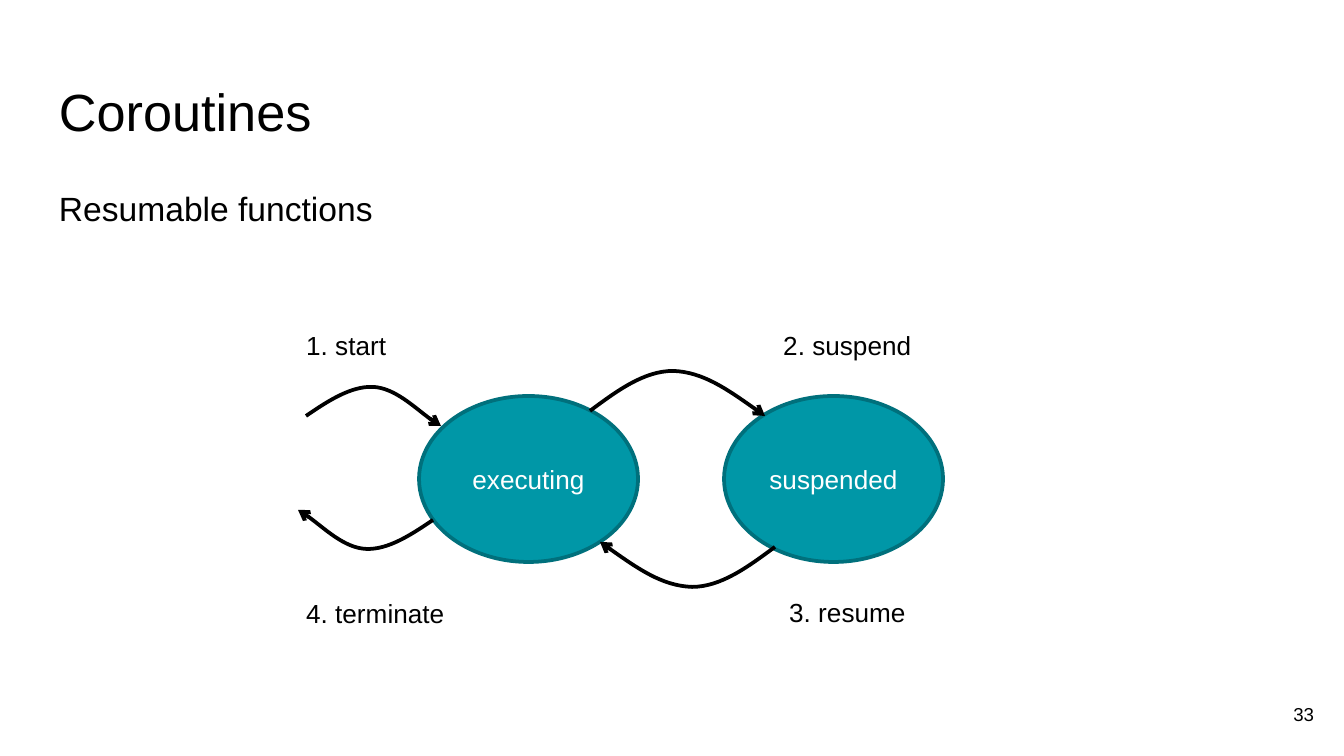
from lxml import etree
from pptx import Presentation
from pptx.dml.color import RGBColor
from pptx.enum.shapes import MSO_SHAPE
from pptx.enum.text import MSO_ANCHOR, PP_ALIGN
from pptx.oxml.ns import qn
from pptx.util import Pt

OVAL = MSO_SHAPE.OVAL
TOP, MIDDLE = MSO_ANCHOR.TOP, MSO_ANCHOR.MIDDLE
LEFT, CENTER, RIGHT = PP_ALIGN.LEFT, PP_ALIGN.CENTER, PP_ALIGN.RIGHT
SCALE = 914400 / 134.4  # EMU per px
INSET = 13


def px(*lengths):
    return [round(length * SCALE) for length in lengths]


def write(shape, text, size, color="000000", align=LEFT, anchor=TOP, wrap=True, spacing=1.0):
    frame = shape.text_frame
    frame.word_wrap = wrap
    frame.vertical_anchor = anchor
    paragraph = frame.paragraphs[0]
    paragraph.text = text
    paragraph.alignment = align
    paragraph.line_spacing = spacing
    font = paragraph.font
    for name, value in {"name": "Arial", "size": Pt(size)}.items():
        setattr(font, name, value)
    font.color.rgb = RGBColor.from_string(color)


presentation = Presentation()
presentation.slide_width, presentation.slide_height = px(1344, 756)
slide = presentation.slides.add_slide(presentation.slide_layouts[6])

# Title, body and page number
texts = [
    ("Coroutines", (46, 66, 1253, 85), {"size": 28}),
    ("Resumable functions", (46, 169, 1253, 503), {"size": 18, "spacing": 1.15}),
    ("33", (1246, 685, 81, 58), {"size": 10, "align": RIGHT, "anchor": MIDDLE}),
]
for text, box, text_format in texts:
    shape = slide.shapes.add_textbox(*px(*box))
    for side in ("left", "top", "right", "bottom"):
        setattr(shape.text_frame, f"margin_{side}", px(INSET)[0])
    write(shape, text, **text_format)

diagram = slide.shapes.add_group_shape().shapes

# States
for state, left in (("suspended", 724), ("executing", 419)):
    shape = diagram.add_shape(OVAL, *px(left, 396, 219, 166))
    shape.shadow.inherit = False
    shape.fill.solid()
    shape.fill.fore_color.rgb = RGBColor.from_string("0097A7")
    shape.line.color.rgb = RGBColor.from_string("00707C")
    shape.line.width = Pt(2)
    write(shape, state, 14, "FFFFFF", CENTER, MIDDLE)

# Each return arrow is its forward arrow turned half round
suspend = [(590, 411), (617, 391), (644, 371), (673, 371), (703, 372), (734, 394), (765, 416)]
start = [(306, 416), (328, 401), (351, 386), (373, 387), (395, 388), (426, 418), (441, 426)]
resume = [(1365 - x, 958 - y) for x, y in suspend]
terminate = [(739 - x, 936 - y) for x, y in start]

for points in (suspend, resume, start, terminate):
    builder = diagram.build_freeform(*points[0], scale=SCALE)
    builder.add_line_segments(points[1:], close=False)
    shape = builder.convert_to_shape()
    shape.shadow.inherit = False
    shape.fill.background()
    shape.line.color.rgb = RGBColor.from_string("000000")
    shape.line.width = Pt(2)
    etree.SubElement(shape.line._get_or_add_ln(), qn("a:tailEnd"), type="arrow")
    # Join every three line segments into one Bezier curve
    segments = list(shape._element.iter(qn("a:lnTo")))
    outline = segments[0].getparent()
    for first in range(0, len(segments), 3):
        curve = etree.SubElement(outline, qn("a:cubicBezTo"))
        for segment in segments[first:first + 3]:
            curve.append(segment[0])
            outline.remove(segment)

# Transition labels
labels = [
    ("3. resume", 776, 590, 152),
    ("2. suspend", 770, 323, 164),
    ("1. start", 293, 323, 109),
    ("4. terminate", 293, 591, 167),
]
for text, left, top, width in labels:
    write(diagram.add_textbox(*px(left, top, width, 46)), text, 14, wrap=False)

presentation.save("out.pptx")
